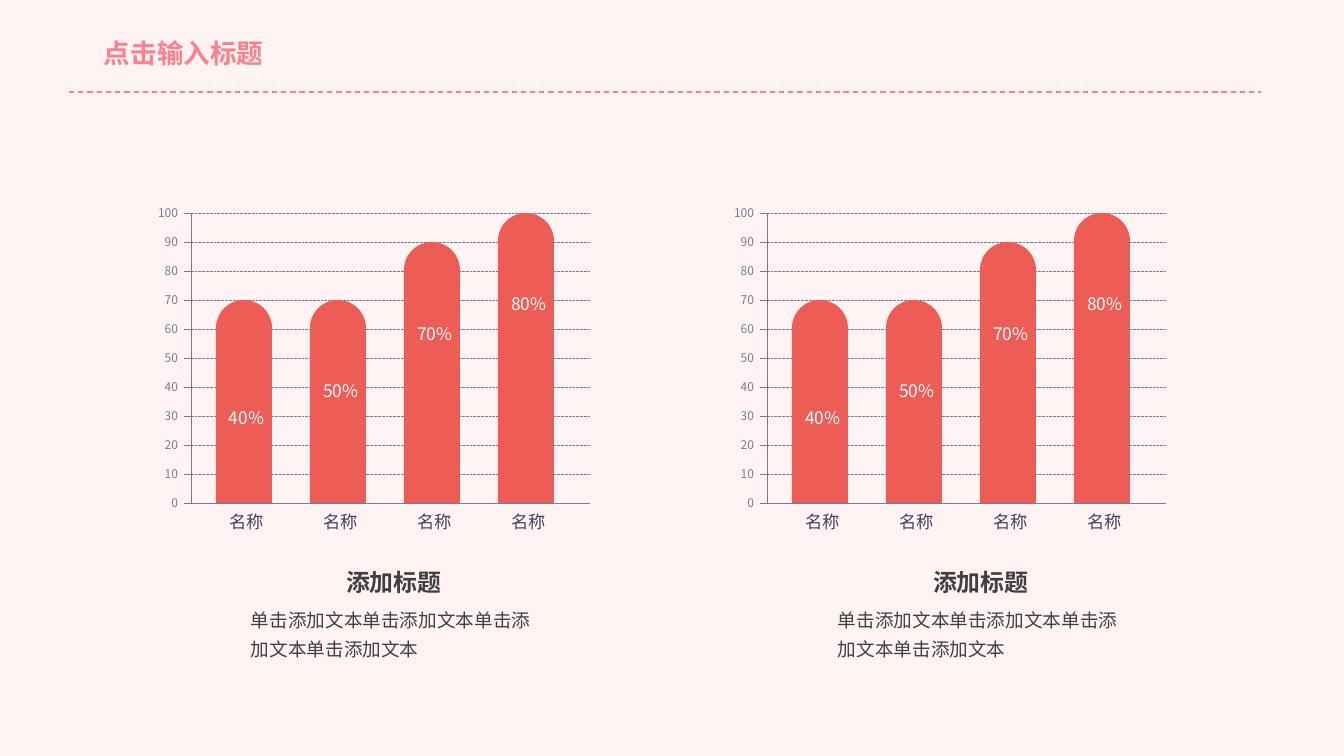
import pptx
import pptx.dml.color
import pptx.enum.dml
import pptx.enum.shapes
import pptx.enum.text
import pptx.oxml.ns
import pptx.util
from lxml import etree

EMU_PER_PX = 9566
FONT = "Noto Sans CJK SC"
COLOURS = {
    "background": "FFF4F3",
    "title": "FE7F8D",
    "axis": "7A7A94",
    "bar": "ED5C55",
    "bar_label": "FFFFFF",
    "category": "404066",
    "caption": "404040",
}

AXIS_TOP, AXIS_BOTTOM, AXIS_STEP = 213, 503, 29
BAR_LEFT, BAR_PITCH, BAR_WIDTH = 216, 94, 56
# Bar height on the axis, label on the bar, top of that label
BARS = [(70, "40%", 400), (70, "50%", 373), (90, "70%", 316), (100, "80%", 286)]

DASH = pptx.enum.dml.MSO_LINE
ALIGN = pptx.enum.text.PP_ALIGN
ANCHOR = pptx.enum.text.MSO_ANCHOR


def px(length):
    return pptx.util.Emu(length * EMU_PER_PX)


def colour(name):
    return pptx.dml.color.RGBColor.from_string(COLOURS[name])


def add_line(shapes, start, end, colour_name, width, dash=None):
    line = shapes.add_connector(
        pptx.enum.shapes.MSO_CONNECTOR.STRAIGHT,
        px(start[0]), px(start[1]), px(end[0]), px(end[1]))
    line.line.color.rgb = colour(colour_name)
    line.line.width = pptx.util.Pt(width)
    if dash is not None:
        line.line.dash_style = dash
    etree.SubElement(line._element.spPr, pptx.oxml.ns.qn("a:effectLst"))


def add_text(shapes, box, text, size, colour_name, bold=False, align=ALIGN.LEFT,
             anchor=ANCHOR.TOP, wrap=True, insets=(10, 5), line_spacing=None):
    """Insets are the horizontal and the vertical margin in px."""
    frame = shapes.add_textbox(*map(px, box)).text_frame
    frame.word_wrap = wrap
    frame.auto_size = pptx.enum.text.MSO_AUTO_SIZE.SHAPE_TO_FIT_TEXT
    frame.vertical_anchor = anchor
    frame.margin_left = frame.margin_right = px(insets[0])
    frame.margin_top = frame.margin_bottom = px(insets[1])
    paragraph = frame.paragraphs[0]
    paragraph.alignment = align
    if line_spacing:
        paragraph.line_spacing = line_spacing
    run = paragraph.add_run()
    run.text = text
    run.font.size = pptx.util.Pt(size)
    run.font.bold = bold
    run.font.name = FONT
    run.font.color.rgb = colour(colour_name)
    east_asian = etree.SubElement(run._r.get_or_add_rPr(), pptx.oxml.ns.qn("a:ea"))
    east_asian.set("typeface", FONT)


def axis_y(value):
    return AXIS_BOTTOM - value * AXIS_STEP // 10


def add_axes(shapes, offset):
    tick_left, axis_x, right = offset + 184, offset + 191, offset + 590
    values = range(100, -1, -10)
    for value in values:
        y = axis_y(value)
        dash = DASH.ROUND_DOT if value else None
        add_line(shapes, (tick_left, y), (right, y), "axis", 0.5, dash)
    add_line(shapes, (axis_x, AXIS_BOTTOM), (axis_x, AXIS_TOP), "axis", 0.5)
    for value in values:
        y = axis_y(value)
        add_line(shapes, (tick_left, y), (axis_x, y), "axis", 0.5)
        width = 66 if value == 100 else 46
        add_text(shapes, (offset + 188 - width, y - 12, width, 24), str(value), 9,
                 "axis", align=ALIGN.RIGHT, anchor=ANCHOR.MIDDLE)


def add_bar(shapes, left, value, label, label_top):
    top = axis_y(value)
    bar = shapes.add_shape(
        pptx.enum.shapes.MSO_SHAPE.ROUND_2_SAME_RECTANGLE,
        px(left), px(top), px(BAR_WIDTH), px(AXIS_BOTTOM - top))
    bar.adjustments[0] = 0.5
    bar.adjustments[1] = 0
    bar.shadow.inherit = False
    bar.fill.solid()
    bar.fill.fore_color.rgb = colour("bar")
    bar.line.fill.background()
    add_text(shapes, (left - 2, label_top, 62, 34), label, 13, "bar_label",
             align=ALIGN.RIGHT, wrap=False, insets=(12, 7))
    add_text(shapes, (left - 1, AXIS_BOTTOM + 1, 61, 34), "名称", 13, "category",
             align=ALIGN.RIGHT, wrap=False, insets=(12, 7))


def add_bar_diagram(slide, offset):
    shapes = slide.shapes.add_group_shape().shapes
    add_axes(shapes, offset)
    for index, (value, label, label_top) in enumerate(BARS):
        add_bar(shapes, offset + BAR_LEFT + index * BAR_PITCH, value, label, label_top)


def add_caption(slide, left):
    shapes = slide.shapes.add_group_shape().shapes
    add_text(shapes, (left + 95, 566, 247, 35), "添加标题", 18, "caption",
             bold=True, line_spacing=0.9)
    add_text(shapes, (left, 597, 308, 65),
             "单击添加文本单击添加文本单击添加文本单击添加文本", 14, "caption",
             line_spacing=1.3)


def main():
    presentation = pptx.Presentation()
    presentation.slide_width = px(1344)
    presentation.slide_height = px(756)
    slide = presentation.slides.add_slide(presentation.slide_layouts[6])
    slide.background.fill.solid()
    slide.background.fill.fore_color.rgb = colour("background")

    for diagram_offset, caption_left in ((0, 241), (576, 828)):
        add_bar_diagram(slide, diagram_offset)
        add_caption(slide, caption_left)

    add_text(slide.shapes, (94, 32, 182, 42), "点击输入标题", 20, "title",
             bold=True, wrap=False)
    add_line(slide.shapes, (69, 92), (1261, 92), "title", 1, DASH.DASH)
    presentation.save("out.pptx")


if __name__ == "__main__":
    main()
